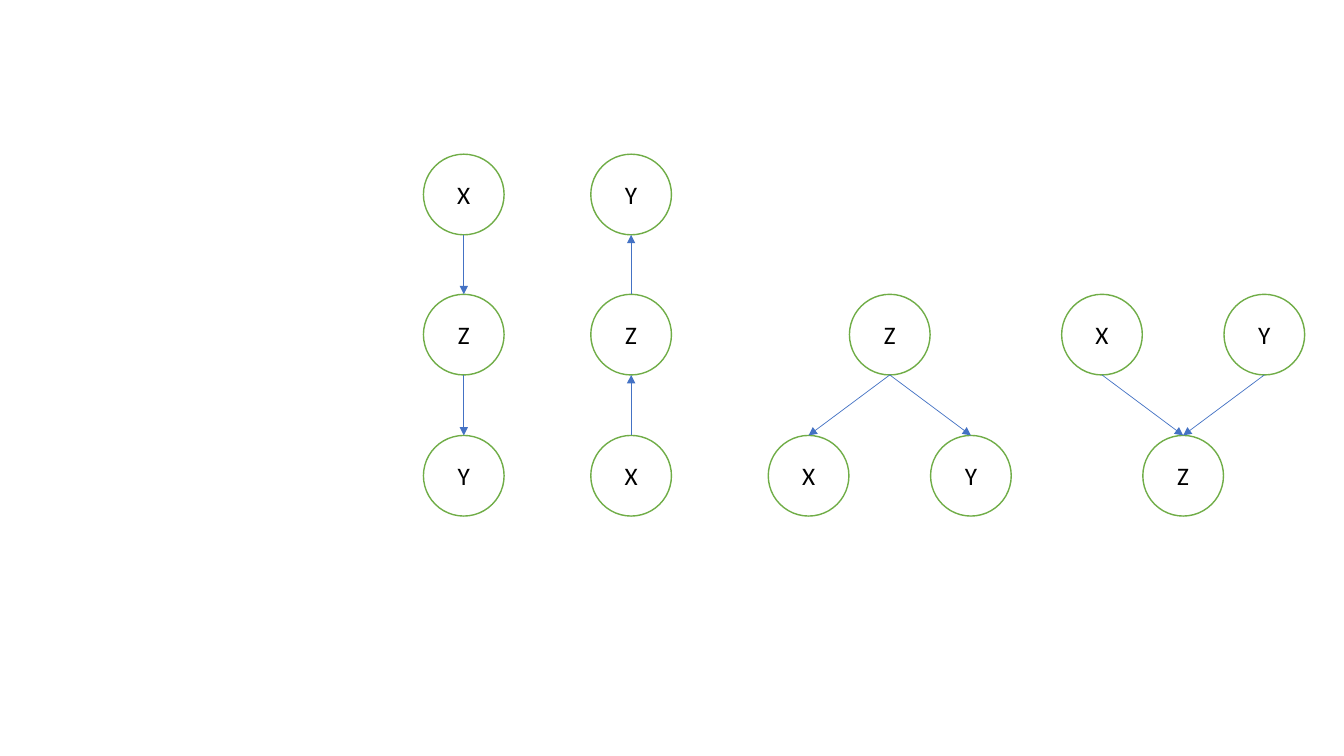
from lxml import etree
from pptx import Presentation
from pptx.dml.color import RGBColor
from pptx.enum.shapes import MSO_CONNECTOR, MSO_SHAPE
from pptx.enum.text import MSO_ANCHOR, PP_ALIGN
from pptx.oxml.ns import qn
from pptx.util import Inches, Pt

OVAL, STRAIGHT = MSO_SHAPE.OVAL, MSO_CONNECTOR.STRAIGHT
MIDDLE, CENTER = MSO_ANCHOR.MIDDLE, PP_ALIGN.CENTER
WHITE = RGBColor(0xFF, 0xFF, 0xFF)
BLACK = RGBColor(0, 0, 0)
GREEN = RGBColor(0x70, 0xAD, 0x47)
BLUE = RGBColor(0x44, 0x72, 0xC4)

prs = Presentation()
prs.slide_width, prs.slide_height = Inches(13.33), Inches(7.5)
s = prs.slides.add_slide(prs.slide_layouts[6])

# Grid: three rows of circles; forks step sideways by one diameter
SIZE = 0.8
STEP = 0.805
ROWS = [1.53, 2.92, 4.32]
FONT = {"name": "Calibri", "size": Pt(18)}

# Each graph: left edge, nodes as label: (column, row), and its arrows
graphs = [
    (4.2, {"X": (0, 0), "Z": (0, 1), "Y": (0, 2)}, ["XZ", "ZY"]),
    (5.86, {"Y": (0, 0), "Z": (0, 1), "X": (0, 2)}, ["XZ", "ZY"]),
    (7.62, {"X": (0, 2), "Z": (1, 1), "Y": (2, 2)}, ["ZX", "ZY"]),
    (10.53, {"X": (0, 1), "Z": (1, 2), "Y": (2, 1)}, ["XZ", "YZ"]),
]

for left, nodes, arrows in graphs:
    # Circles
    for label, (col, row) in nodes.items():
        sp = s.shapes.add_shape(OVAL, Inches(left + col * STEP), Inches(ROWS[row]),
                                Inches(SIZE), Inches(SIZE))
        sp.shadow.inherit = False
        sp.fill.solid()
        sp.fill.fore_color.rgb = WHITE
        sp.line.color.rgb = GREEN
        sp.line.width = Pt(1)
        tf = sp.text_frame
        tf.vertical_anchor = MIDDLE
        p = tf.paragraphs[0]
        p.alignment = CENTER
        r = p.add_run()
        r.text = label
        r.font.color.rgb = BLACK
        for key, value in FONT.items():
            setattr(r.font, key, value)

    # Arrows between facing edges of the circles
    for start, end in arrows:
        (col1, row1), (col2, row2) = nodes[start], nodes[end]
        down = row2 > row1
        x1, x2 = (left + col * STEP + SIZE / 2 for col in (col1, col2))
        y1 = ROWS[row1] + (SIZE if down else 0)
        y2 = ROWS[row2] + (0 if down else SIZE)
        cx = s.shapes.add_connector(STRAIGHT, Inches(x1), Inches(y1), Inches(x2), Inches(y2))
        cx.line.color.rgb = BLUE
        cx.line.width = Pt(0.5)
        etree.SubElement(cx.line._get_or_add_ln(), qn("a:tailEnd"), type="triangle")
        etree.SubElement(cx._element.spPr, qn("a:effectLst"))

prs.save("out.pptx")
